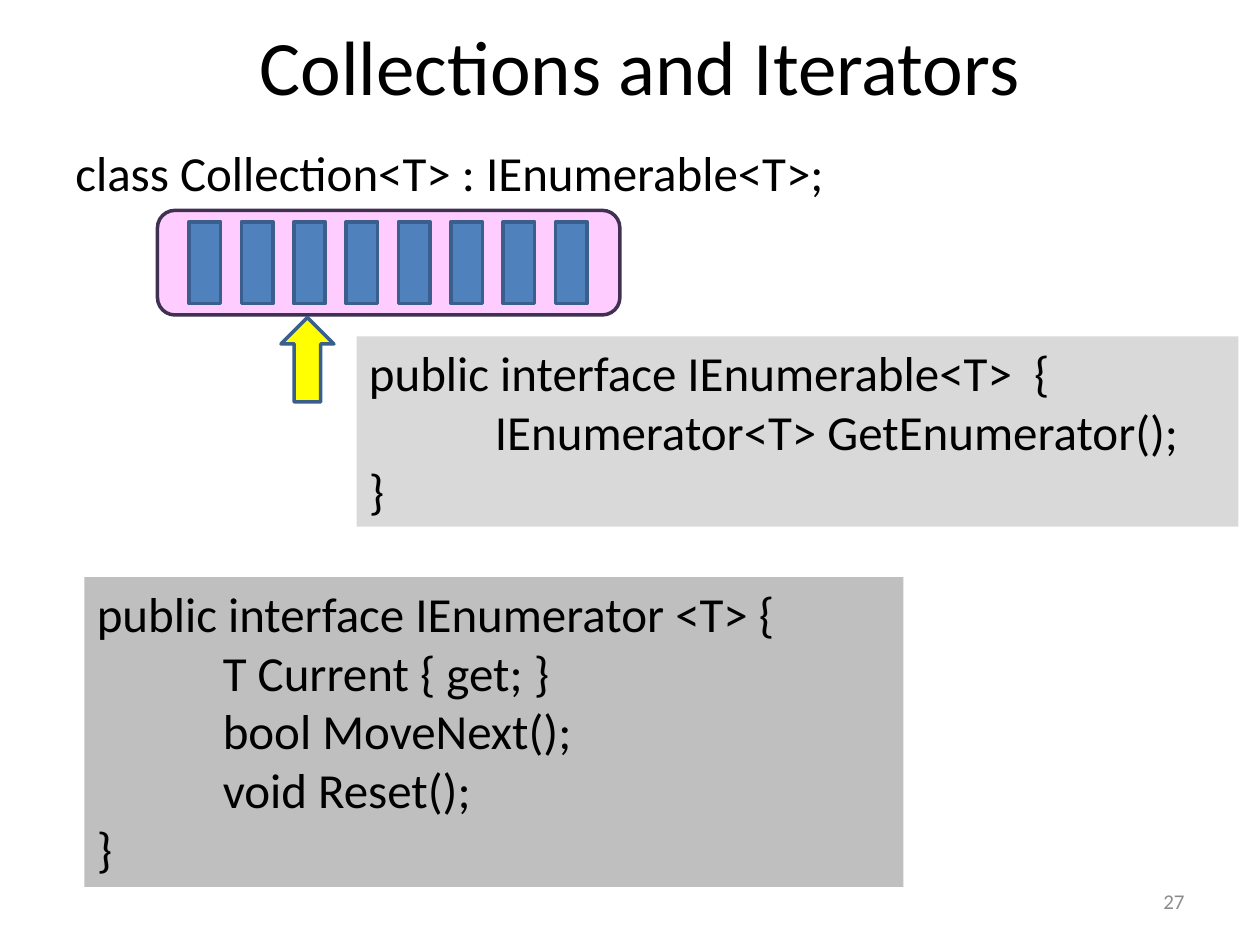
from lxml import etree
from pptx import Presentation
from pptx.dml.color import RGBColor
from pptx.enum.shapes import MSO_SHAPE
from pptx.enum.text import MSO_ANCHOR, PP_ALIGN
from pptx.oxml.ns import qn
from pptx.util import Inches, Pt

RECTANGLE = MSO_SHAPE.RECTANGLE
ROUNDED = MSO_SHAPE.ROUNDED_RECTANGLE
UP_ARROW = MSO_SHAPE.UP_ARROW
TOP, MIDDLE = MSO_ANCHOR.TOP, MSO_ANCHOR.MIDDLE
LEFT, CENTER, RIGHT = PP_ALIGN.LEFT, PP_ALIGN.CENTER, PP_ALIGN.RIGHT

BLACK = RGBColor(0x00, 0x00, 0x00)
NUMBER_GRAY = RGBColor(0x8C, 0x8C, 0x8C)
LIGHT_GRAY = RGBColor(0xD9, 0xD9, 0xD9)
MID_GRAY = RGBColor(0xBF, 0xBF, 0xBF)
PINK = RGBColor(0xFF, 0xCC, 0xFF)
PURPLE = RGBColor(0x40, 0x31, 0x52)
BLUE = RGBColor(0x4F, 0x81, 0xBD)
DARK_BLUE = RGBColor(0x3A, 0x5F, 0x8C)
YELLOW = RGBColor(0xFF, 0xFF, 0x00)

FONT = "Calibri"
CODE_TAB = Inches(1)
ITEM_COUNT = 8
FIRST_ITEM, LAST_ITEM = 1.5, 4.41
ITEM_PITCH = (LAST_ITEM - FIRST_ITEM) / (ITEM_COUNT - 1)

ENUMERABLE_CODE = [
    "public interface IEnumerable<T>  {",
    "\tIEnumerator<T> GetEnumerator();",
    "}",
]
ENUMERATOR_CODE = [
    "public interface IEnumerator <T> {",
    "\tT Current { get; }",
    "\tbool MoveNext();",
    "\tvoid Reset();",
    "}",
]


def add_tab_stop(paragraph, position):
    properties = paragraph._p.get_or_add_pPr()
    stops = etree.SubElement(properties, qn("a:tabLst"))
    etree.SubElement(stops, qn("a:tab"), pos=str(position), algn="l")


def write_lines(frame, lines, size, color=BLACK, align=LEFT, anchor=TOP):
    frame.word_wrap = True
    frame.vertical_anchor = anchor
    for index, line in enumerate(lines):
        paragraph = frame.add_paragraph() if index else frame.paragraphs[0]
        paragraph.alignment = align
        if line.startswith("\t"):
            add_tab_stop(paragraph, CODE_TAB)
        run = paragraph.add_run()
        run.text = line
        run.font.name = FONT
        run.font.size = Pt(size)
        run.font.color.rgb = color


def add_label(slide, box, text, size, **style):
    label = slide.shapes.add_textbox(*map(Inches, box))
    write_lines(label.text_frame, [text], size, **style)


def add_figure(shapes, preset, box, fill, outline=None):
    figure = shapes.add_shape(preset, *map(Inches, box))
    figure.shadow.inherit = False
    figure.fill.solid()
    figure.fill.fore_color.rgb = fill
    if outline is None:
        figure.line.fill.background()
    else:
        figure.line.color.rgb = outline
        figure.line.width = Pt(2)
    return figure


def add_code_panel(slide, box, lines, fill):
    panel = add_figure(slide.shapes, RECTANGLE, box, fill)
    write_lines(panel.text_frame, lines, 28)


def add_collection(slide):
    """Draw the container with its row of items as one group."""
    shapes = slide.shapes.add_group_shape().shapes
    add_figure(shapes, ROUNDED, (1.25, 1.67, 3.67, 0.83), PINK, PURPLE)
    for index in range(ITEM_COUNT):
        item_box = (FIRST_ITEM + index * ITEM_PITCH, 1.76, 0.25, 0.65)
        add_figure(shapes, RECTANGLE, item_box, BLUE, DARK_BLUE)


def main():
    deck = Presentation()
    deck.slide_width, deck.slide_height = Inches(10), Inches(7.5)
    slide = deck.slides.add_slide(deck.slide_layouts[6])

    add_label(slide, (0.58, 0, 9, 1.03), "Collections and Iterators", 44,
              align=CENTER, anchor=MIDDLE)
    add_label(slide, (7.17, 6.95, 2.33, 0.4), "27", 12,
              color=NUMBER_GRAY, align=RIGHT, anchor=MIDDLE)
    add_label(slide, (0.5, 1.08, 9.17, 3.21),
              "class Collection<T> : IEnumerable<T>;", 28)
    add_collection(slide)
    add_code_panel(slide, (2.83, 2.67, 7, 1.51), ENUMERABLE_CODE, LIGHT_GRAY)
    add_figure(slide.shapes, UP_ARROW, (2.23, 2.52, 0.42, 0.67),
               YELLOW, DARK_BLUE)
    add_code_panel(slide, (0.67, 4.58, 6.5, 2.46), ENUMERATOR_CODE, MID_GRAY)

    deck.save("out.pptx")


if __name__ == "__main__":
    main()
